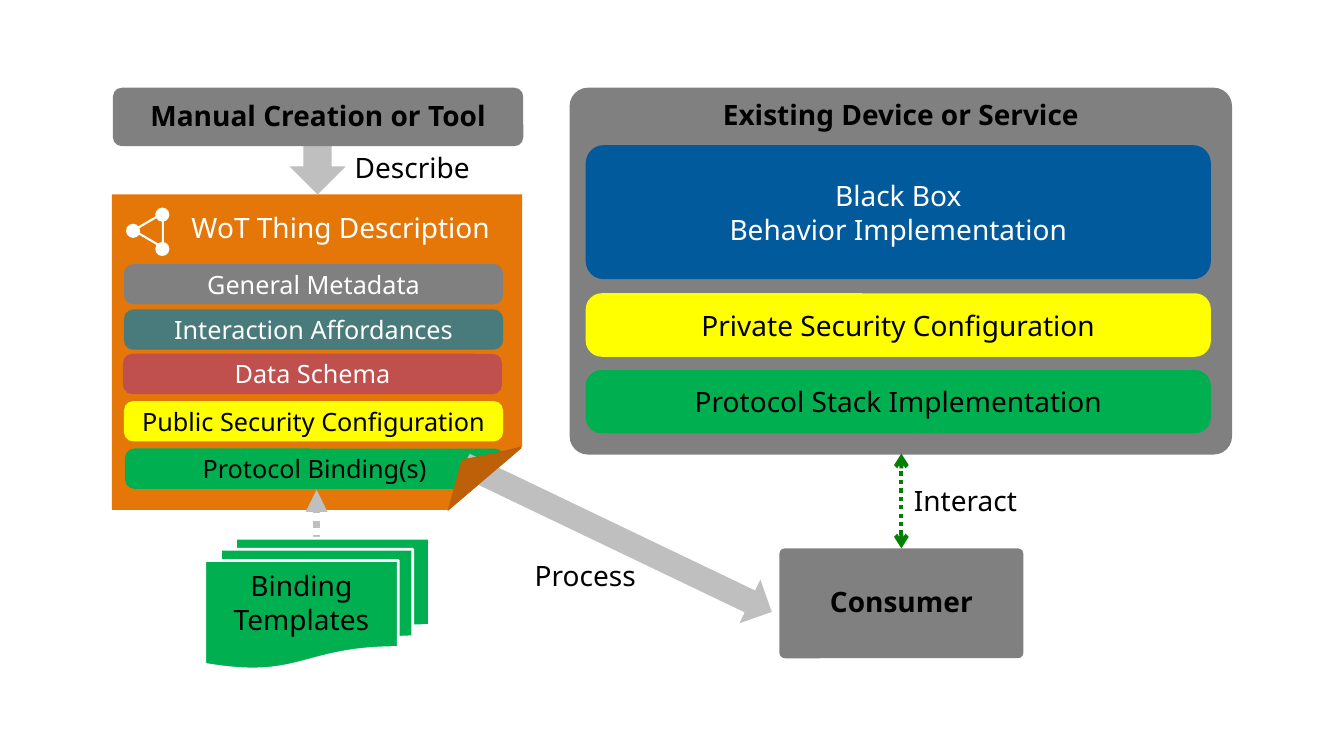
"""Build the slide that relates a Thing Description, a device and a consumer."""
from lxml.etree import SubElement
from pptx import Presentation
from pptx.dml.color import RGBColor
from pptx.enum.dml import MSO_LINE
from pptx.enum.shapes import MSO_CONNECTOR, MSO_SHAPE
from pptx.enum.text import MSO_ANCHOR, MSO_AUTO_SIZE, PP_ALIGN
from pptx.oxml.ns import qn
from pptx.util import Pt

PX = 9144
FONT = "Noto Sans"
COLORS = {
    "white": "FFFFFF", "black": "000000", "orange": "E57709", "fold": "BD6008",
    "gray": "808080", "silver": "BFBFBF", "yellow": "FFFF00", "teal": "4A7B7C",
    "red": "C0504D", "green": "00B050", "blue": "005A9C", "link": "008000",
}
HEADING = dict(bold=True, insets=(10, 4, 10, 8))


def rgb(name):
    return RGBColor.from_string(COLORS[name])


def write(sp, text, size=20, color="black", bold=False, align=PP_ALIGN.CENTER,
          anchor=MSO_ANCHOR.MIDDLE, insets=(10, 5, 10, 5)):
    tf = sp.text_frame
    tf.word_wrap = False
    tf.vertical_anchor = anchor
    tf.margin_left, tf.margin_top, tf.margin_right, tf.margin_bottom = (
        v * PX for v in insets)
    tf.text = text
    for p in tf.paragraphs:
        p.alignment = align
        for r in p.runs:
            r.font.name, r.font.size, r.font.bold = FONT, Pt(size), bold
            r.font.color.rgb = rgb(color)


class Canvas:
    """Draws styled elements on one slide, in px."""

    def __init__(self, slide):
        self.shapes = slide.shapes

    def paint(self, sp, fill=None, line=None, width=1):
        sp.shadow.inherit = False
        if fill:
            sp.fill.solid()
            sp.fill.fore_color.rgb = rgb(fill)
        else:
            sp.fill.background()
        if line:
            sp.line.color.rgb = rgb(line)
            sp.line.width = Pt(width)
        else:
            sp.line.fill.background()
        return sp

    def shape(self, kind, box, fill=None, adj=(), rotation=0, **line):
        sp = self.shapes.add_shape(kind, *(v * PX for v in box))
        guides = sp._element.spPr.find(qn("a:prstGeom")).get_or_add_avLst()
        for gd in list(guides):
            guides.remove(gd)
        for i, value in enumerate(adj, 1):
            name = "adj" if len(adj) == 1 else f"adj{i}"
            SubElement(guides, qn("a:gd"), name=name, fmla=f"val {round(value * 100000)}")
        sp.rotation = rotation
        return self.paint(sp, fill, **line)

    def panel(self, box, fill, adj, text, **style):
        sp = self.shape(MSO_SHAPE.ROUNDED_RECTANGLE, box, fill, (adj,))
        write(sp, text, **style)

    def label(self, box, text, **style):
        sp = self.shapes.add_textbox(*(v * PX for v in box))
        write(sp, text, anchor=MSO_ANCHOR.TOP, **style)
        sp.text_frame.auto_size = MSO_AUTO_SIZE.SHAPE_TO_FIT_TEXT

    def polygon(self, points, fill):
        builder = self.shapes.build_freeform(*points[0], scale=PX)
        builder.add_line_segments(points[1:], close=True)
        self.paint(builder.convert_to_shape(), fill)

    def arrow(self, start, end, color, width, **ends):
        s = self.shapes.add_connector(
            MSO_CONNECTOR.STRAIGHT, *(v * PX for v in start + end))
        s.line.color.rgb = rgb(color)
        s.line.width = Pt(width)
        s.line.dash_style = MSO_LINE.ROUND_DOT
        ln = s.line._get_or_add_ln()
        for side in ("head", "tail"):
            if side in ends:
                SubElement(ln, qn(f"a:{side}End"), type=ends[side])
        SubElement(s._element.spPr, qn("a:effectLst"))


def draw_description(c):
    sp = c.shape(MSO_SHAPE.FOLDED_CORNER, (111, 193, 407, 313), "orange", (0.202,))
    write(sp, "WoT Thing Description", color="white", anchor=MSO_ANCHOR.TOP,
          insets=(47, 16, 0, 0))
    c.arrow((314, 582), (314, 486), "silver", 5.25, tail="triangle")
    for left, top, fill, color, text in (
        (123, 262, "gray", "white", "General Metadata"),
        (123, 307, "teal", "white", "Interaction Affordances"),
        (122, 351, "red", "white", "Data Schema"),
        (123, 398, "yellow", "black", "Public Security Configuration"),
        (124, 445, "green", "black", "Protocol Binding(s)"),
    ):
        c.panel((left, top, 376, 40), fill, 0.23, text, size=18, color=color)
    sp = c.shape(MSO_SHAPE.FLOWCHART_MULTIDOCUMENT, (203, 534, 223, 130), "green",
                 line="white", width=2)
    write(sp, "Binding\vTemplates", anchor=MSO_ANCHOR.TOP, insets=(0, 8, 0, 0))


def draw_device(c):
    c.panel((565, 87, 657, 364), "gray", 0.05, "Existing Device or Service",
            anchor=MSO_ANCHOR.TOP, **HEADING)
    for top, height, adj, fill, color, text in (
        (144, 133, 0.133, "blue", "white", "Black Box\nBehavior Implementation"),
        (291, 63, 0.251, "yellow", "black", "Private Security Configuration"),
        (367, 63, 0.251, "green", "black", "Protocol Stack Implementation"),
    ):
        c.panel((581, top, 620, height), fill, adj, text, color=color)


def draw_flow(c):
    c.polygon([(444, 507), (518, 507), (518, 444)], "white")
    c.shape(MSO_SHAPE.DOWN_ARROW, (287, 123, 56, 70), "silver", (0.5, 0.5))
    c.panel((112, 87, 407, 58), "gray", 0.151, "Manual Creation or Tool", **HEADING)
    c.panel((773, 544, 242, 109), "gray", 0.05, "Consumer", **HEADING)
    c.shape(MSO_SHAPE.DOWN_ARROW, (589, 365, 48, 338), "silver", (0.5, 0.5), 295.6)
    c.polygon([(444, 507), (458, 456), (518, 444)], "fold")
    c.arrow((894, 544), (894, 450), "link", 3, head="arrow", tail="arrow")
    c.label((895, 475, 125, 44), "Interact")
    c.label((519, 549, 123, 44), "Process")
    c.label((342, 144, 136, 44), "Describe", align=PP_ALIGN.LEFT)


def draw_icon(c):
    c.shape(MSO_SHAPE.ISOSCELES_TRIANGLE, (130, 214, 34, 29), rotation=270,
            line="white", width=1.5)
    for left, top in ((154, 206), (125, 222), (154, 240)):
        c.shape(MSO_SHAPE.OVAL, (left, top, 14, 14), "white")


def main():
    prs = Presentation()
    prs.slide_width, prs.slide_height = 1333 * PX, 750 * PX
    c = Canvas(prs.slides.add_slide(prs.slide_layouts[6]))
    draw_description(c)
    draw_device(c)
    draw_flow(c)
    draw_icon(c)
    prs.save("out.pptx")


if __name__ == "__main__":
    main()
